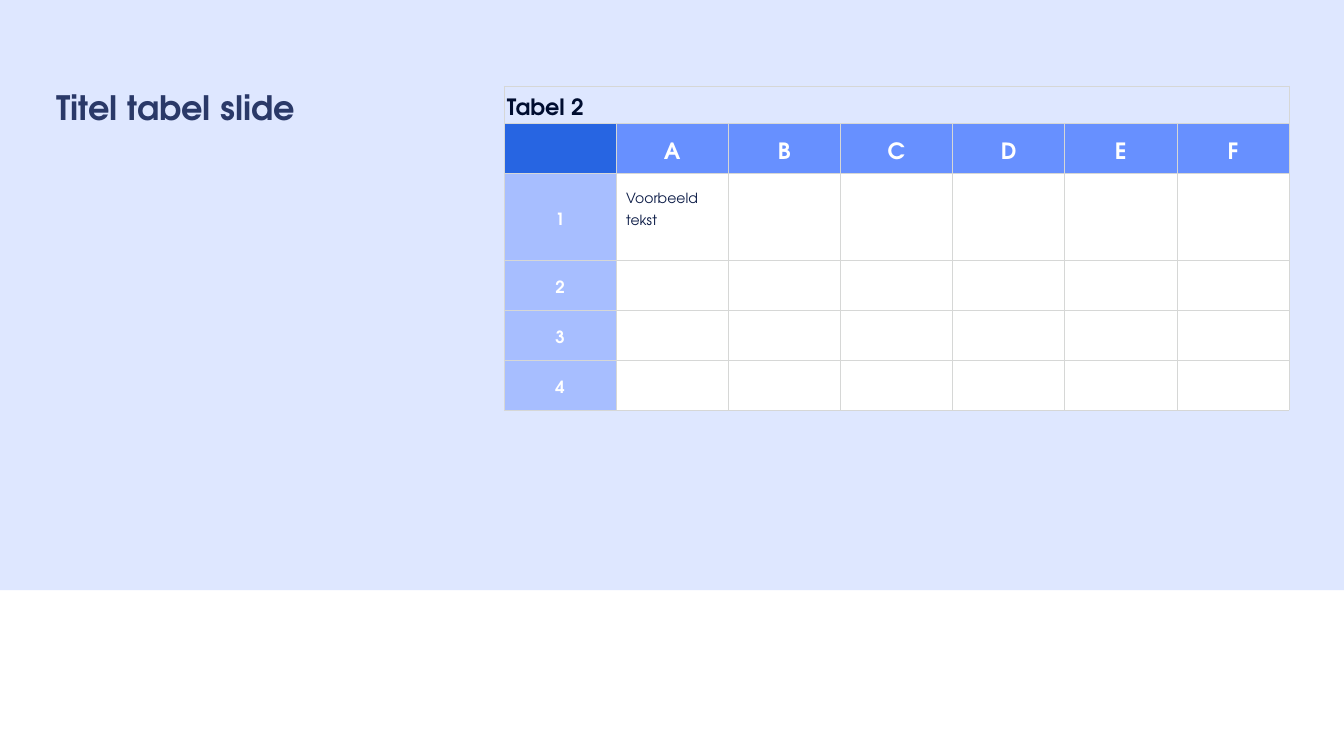
from lxml.etree import SubElement
from pptx import Presentation
from pptx.dml.color import RGBColor
from pptx.enum.shapes import MSO_SHAPE as Shape
from pptx.enum.text import MSO_ANCHOR as Anchor, MSO_AUTO_SIZE as AutoSize, PP_ALIGN as Align
from pptx.oxml.ns import qn
from pptx.util import Inches, Pt

TITLE = "Titel tabel slide"
ROWS = [
    ["Tabel 2", "", "", "", "", "", ""],
    ["", "A", "B", "C", "D", "E", "F"],
    ["1", "Voorbeeld tekst", "", "", "", "", ""],
    ["2", "", "", "", "", "", ""],
    ["3", "", "", "", "", "", ""],
    ["4", "", "", "", "", "", ""],
]
ROW_HEIGHTS = [0.74, 0.99, 1.73, 0.99, 0.99, 0.99]
LEFT, TOP, WIDTH = 10, 1.71, 15.58
FONT = "TeX Gyre Adventor"
COLORS = {
    "band": "DEE7FF", "title": "2A3968", "caption": "000D30", "corner": "2765E2",
    "header": "6790FF", "label": "A7BEFF", "white": "FFFFFF", "body": "0C1C47",
    "border": "D6D7D6",
}
# kind: fill, text colour, size, line spacing, bold, alignment, anchor, margin
STYLES = {
    "caption": (None, "caption", 32, 42, True, Align.LEFT, Anchor.MIDDLE, 0.06),
    "corner": ("corner", "white", 32, 44, True, Align.CENTER, Anchor.MIDDLE, 0.06),
    "header": ("header", "white", 32, 44, True, Align.CENTER, Anchor.MIDDLE, 0.06),
    "label": ("label", "white", 24, 32, True, Align.CENTER, Anchor.MIDDLE, 0.06),
    "body": ("white", "body", 20, 32, False, Align.LEFT, Anchor.TOP, 0.2),
}


def rgb(name):
    return RGBColor.from_string(COLORS[name])


def kind_of(row, column):
    if row == 0:
        return "caption"
    if row == 1:
        return "header" if column else "corner"
    return "body" if column else "label"


def format_text(frame, color, size, spacing, bold, align):
    para = frame.paragraphs[0]
    para.alignment = align
    para.line_spacing = Pt(spacing)
    para.space_before = Pt(0)
    for font in [para.font] + [span.font for span in para.runs]:
        font.name, font.size, font.bold = FONT, Pt(size), bold
        font.color.rgb = rgb(color)


def set_margins(box, margin):
    box.margin_left = box.margin_right = Inches(margin)
    box.margin_top = box.margin_bottom = Inches(margin)


def add_borders(cell, row):
    properties = cell._tc.get_or_add_tcPr()
    for side in "LRTB":
        heavy = (row, side) in {(1, "B"), (2, "T")}
        line = SubElement(properties, qn(f"a:ln{side}"), w=str(Pt(2 if heavy else 1)))
        fill = SubElement(line, qn("a:solidFill"))
        SubElement(fill, qn("a:srgbClr"), val=COLORS["border"])


def style_cell(cell, row, column):
    fill, color, size, spacing, bold, align, anchor, margin = STYLES[kind_of(row, column)]
    cell.text_frame.text = ROWS[row][column]
    format_text(cell.text_frame, color, size, spacing, bold, align)
    set_margins(cell, margin)
    cell.vertical_anchor = anchor
    add_borders(cell, row)
    if fill:
        cell.fill.solid()
        cell.fill.fore_color.rgb = rgb(fill)
    else:
        cell.fill.background()


def add_title(page):
    title = page.shapes.title
    title.left, title.top = Inches(1.12), Inches(1.69)
    title.width, title.height = Inches(6.67), Inches(8.33)
    frame = title.text_frame
    frame.text = TITLE
    frame.word_wrap = True
    frame.auto_size = AutoSize.NONE
    frame.vertical_anchor = Anchor.TOP
    set_margins(frame, 0)
    format_text(frame, "title", 48, 60, True, Align.LEFT)


def add_band(page, width):
    band = page.shapes.add_shape(Shape.RECTANGLE, 0, 0, width, Inches(11.71))
    band.shadow.inherit = False
    band.fill.solid()
    band.fill.fore_color.rgb = rgb("band")
    band.line.fill.background()
    page.shapes.title.element.addprevious(band.element)


def add_grid(page):
    columns = len(ROWS[0])
    table = page.shapes.add_table(
        len(ROWS), columns, Inches(LEFT), Inches(TOP), Inches(WIDTH), Inches(sum(ROW_HEIGHTS))
    ).table
    table.first_row = table.horz_banding = False
    for column in table.columns:
        column.width = Inches(WIDTH / columns)
    for row, height in zip(table.rows, ROW_HEIGHTS):
        row.height = Inches(height)
    for row in range(len(ROWS)):
        for column in range(columns):
            style_cell(table.cell(row, column), row, column)
    table.cell(0, 0).merge(table.cell(0, columns - 1))


def main():
    """Build the table slide and save it."""
    deck = Presentation()
    deck.slide_width, deck.slide_height = Inches(26.67), Inches(15)
    page = deck.slides.add_slide(deck.slide_layouts[5])
    add_title(page)
    add_band(page, deck.slide_width)
    add_grid(page)
    deck.save("out.pptx")


if __name__ == "__main__":
    main()
